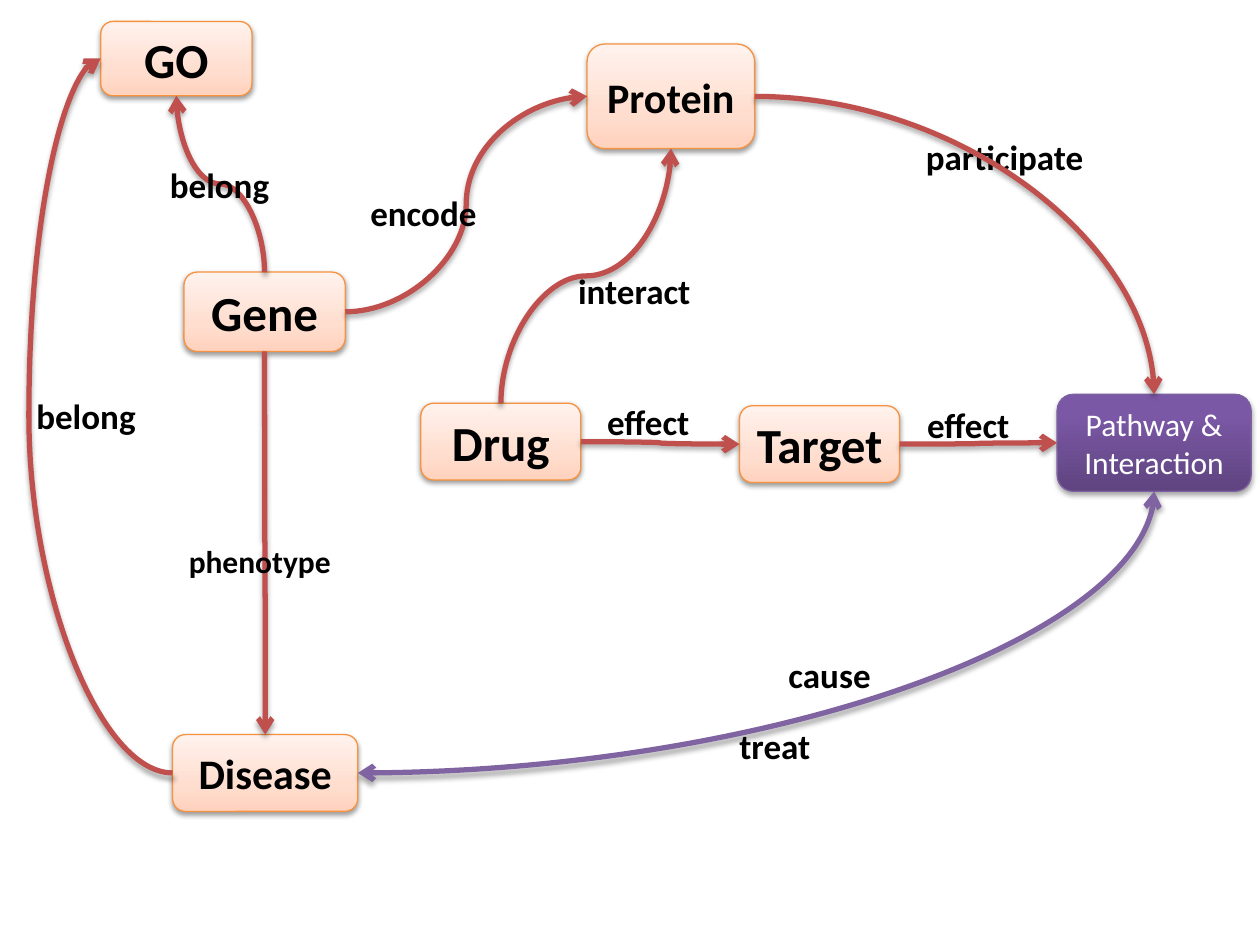
from dataclasses import dataclass
from enum import IntEnum

from lxml.etree import SubElement
from pptx import Presentation
from pptx.dml.color import RGBColor
from pptx.enum.shapes import MSO_CONNECTOR as Link, MSO_SHAPE as Shape
from pptx.enum.text import MSO_ANCHOR as Anchor, MSO_AUTO_SIZE as AutoSize, PP_ALIGN as Align
from pptx.oxml.ns import qn
from pptx.util import Inches, Pt

PEACH = [(0, "FFD2BD"), (35, "FFDED0"), (100, "FFF2ED")]
VIOLET = [(0, "5F4480"), (80, "7B58A6"), (100, "7C57A8")]
RED, PURPLE = "C0504D", "8064A2"


class Side(IntEnum):
    """Connection sites of a rounded rectangle."""
    TOP = 0
    LEFT = 1
    BOTTOM = 2
    RIGHT = 3


@dataclass
class Node:
    text: str
    left: float
    top: float
    width: float
    height: float
    size: int = 28
    bold: bool = True
    color: str = "000000"
    line: str = "F69240"
    stops: tuple = tuple(PEACH)
    shadow: tuple = (38, 1.6)

    def site(self, side):
        across = {Side.LEFT: 0, Side.RIGHT: 1}.get(side, 0.5)
        down = {Side.TOP: 0, Side.BOTTOM: 1}.get(side, 0.5)
        return self.left + across * self.width, self.top + down * self.height


@dataclass
class Relation:
    source: str
    leaves: Side
    target: str
    enters: Side
    color: str = RED
    both_ways: bool = False
    bend: float = 0.5


@dataclass
class Label:
    text: str
    left: float
    top: float
    width: float
    size: int = 20


NODES = [
    Node("Gene", 1.46, 2.16, 1.28, 0.63),
    Node("Protein", 4.66, 0.35, 1.33, 0.83, size=24),
    Node("Pathway & Interaction", 8.39, 3.13, 1.54, 0.77, size=18, bold=False,
         color="FFFFFF", line="7D60A0", stops=tuple(VIOLET), shadow=(35, 1.8)),
    Node("Drug", 3.34, 3.2, 1.27, 0.61),
    Node("Disease", 1.37, 5.83, 1.47, 0.61, size=24),
    Node("GO", 0.8, 0.17, 1.2, 0.59),
    Node("Target", 5.87, 3.22, 1.27, 0.61),
]
PATHWAY = "Pathway & Interaction"
RELATIONS = [
    Relation("Gene", Side.RIGHT, "Protein", Side.LEFT),
    Relation("Gene", Side.TOP, "GO", Side.BOTTOM),
    Relation("Disease", Side.LEFT, "GO", Side.LEFT, bend=2),
    Relation("Gene", Side.BOTTOM, "Disease", Side.TOP),
    Relation("Protein", Side.RIGHT, PATHWAY, Side.TOP),
    Relation("Drug", Side.TOP, "Protein", Side.BOTTOM),
    Relation("Drug", Side.RIGHT, "Target", Side.LEFT),
    Relation("Target", Side.RIGHT, PATHWAY, Side.LEFT),
    Relation("Disease", Side.RIGHT, PATHWAY, Side.BOTTOM, PURPLE, both_ways=True),
]
LABELS_BEHIND = [
    Label("interact", 4.49, 2.09, 1.1),
    Label("participate", 7.25, 1.03, 1.46),
    Label("cause", 6.16, 5.14, 0.86),
    Label("effect", 7.26, 3.15, 0.87),
]
LABELS_IN_FRONT = [
    Label("encode", 2.84, 1.47, 1.05),
    Label("phenotype", 1.4, 4.25, 1.34, size=18),
    Label("effect", 4.72, 3.13, 0.87),
    Label("treat", 5.77, 5.7, 0.77),
    Label("belong", 0.19, 3.08, 1),
    Label("belong", 1.25, 1.25, 1),
]


def rgb(code: str) -> RGBColor:
    return RGBColor.from_string(code)


def write(frame, text: str, *, size: int, bold=True, color="000000", align=None) -> None:
    paragraph = frame.paragraphs[0]
    paragraph.alignment = align
    run = paragraph.add_run()
    run.text = text
    run.font.name, run.font.size, run.font.bold = "Calibri", Pt(size), bold
    run.font.color.rgb = rgb(color)


def cast_shadow(item, opacity: int, distance: float) -> None:
    effects = SubElement(item._element.spPr, qn("a:effectLst"))
    shadow = SubElement(effects, qn("a:outerShdw"), blurRad=str(Pt(3.1)),
                        dist=str(Pt(distance)), dir="5400000", rotWithShape="0")
    black = SubElement(shadow, qn("a:srgbClr"), val="000000")
    SubElement(black, qn("a:alpha"), val=str(opacity * 1000))


def fill_gradient(shape, stops: tuple) -> None:
    shape.fill.gradient()
    shape.fill.gradient_angle = 90
    stop_list = shape._element.spPr.find(".//" + qn("a:gsLst"))
    stop_list.clear()
    for position, code in stops:
        stop = SubElement(stop_list, qn("a:gs"), pos=str(position * 1000))
        SubElement(stop, qn("a:srgbClr"), val=code)


def draw_node(slide, node: Node):
    box = slide.shapes.add_shape(Shape.ROUNDED_RECTANGLE, Inches(node.left), Inches(node.top),
                                 Inches(node.width), Inches(node.height))
    fill_gradient(box, node.stops)
    box.line.color.rgb = rgb(node.line)
    box.line.width = Pt(0.75)
    cast_shadow(box, *node.shadow)
    box.text_frame.word_wrap = True
    box.text_frame.vertical_anchor = Anchor.MIDDLE
    write(box.text_frame, node.text, size=node.size, bold=node.bold,
          color=node.color, align=Align.CENTER)
    return box


def draw_label(slide, label: Label) -> None:
    height = 0.44 if label.size == 20 else 0.4
    frame = slide.shapes.add_textbox(Inches(label.left), Inches(label.top),
                                     Inches(label.width), Inches(height)).text_frame
    frame.word_wrap = False
    frame.auto_size = AutoSize.SHAPE_TO_FIT_TEXT
    write(frame, label.text, size=label.size)


def draw_relation(slide, relation: Relation, nodes: dict, boxes: dict) -> None:
    x1, y1 = nodes[relation.source].site(relation.leaves)
    x2, y2 = nodes[relation.target].site(relation.enters)
    upright = relation.leaves in (Side.TOP, Side.BOTTOM)
    if upright:
        # Lay the curve flat around its centre; a quarter turn stands it up again
        cx, cy, dx, dy = (x1 + x2) / 2, (y1 + y2) / 2, (x2 - x1) / 2, (y2 - y1) / 2
        x1, y1, x2, y2 = cx - dy, cy + dx, cx + dy, cy - dx
    ends = [Inches(value) for value in (x1, y1, x2, y2)]
    curve = slide.shapes.add_connector(Link.CURVE, *ends)
    curve.begin_connect(boxes[relation.source], int(relation.leaves))
    curve.end_connect(boxes[relation.target], int(relation.enters))
    curve.begin_x, curve.begin_y, curve.end_x, curve.end_y = ends

    properties = curve._element.spPr
    if upright:
        properties.find(qn("a:xfrm")).set("rot", "5400000")
    geometry = properties.find(qn("a:prstGeom"))
    if relation.leaves % 2 != relation.enters % 2:
        geometry.set("prst", "curvedConnector2")
    elif relation.bend != 0.5:
        SubElement(geometry.find(qn("a:avLst")), qn("a:gd"), name="adj1",
                   fmla=f"val {round(relation.bend * 100000)}")

    curve.line.color.rgb = rgb(relation.color)
    curve.line.width = Pt(3)
    stroke = properties.find(qn("a:ln"))
    for end in ("a:headEnd", "a:tailEnd") if relation.both_ways else ("a:tailEnd",):
        SubElement(stroke, qn(end), type="arrow")
    cast_shadow(curve, 35, 1.8)


def main() -> None:
    deck = Presentation()
    deck.slide_width, deck.slide_height = Inches(10), Inches(7.5)
    slide = deck.slides.add_slide(deck.slide_layouts[6])

    # Entities
    nodes = {node.text: node for node in NODES}
    boxes = {node.text: draw_node(slide, node) for node in NODES}

    # Relations between their two layers of labels
    for label in LABELS_BEHIND:
        draw_label(slide, label)
    for relation in RELATIONS:
        draw_relation(slide, relation, nodes, boxes)
    for label in LABELS_IN_FRONT:
        draw_label(slide, label)

    deck.save("out.pptx")


main()
